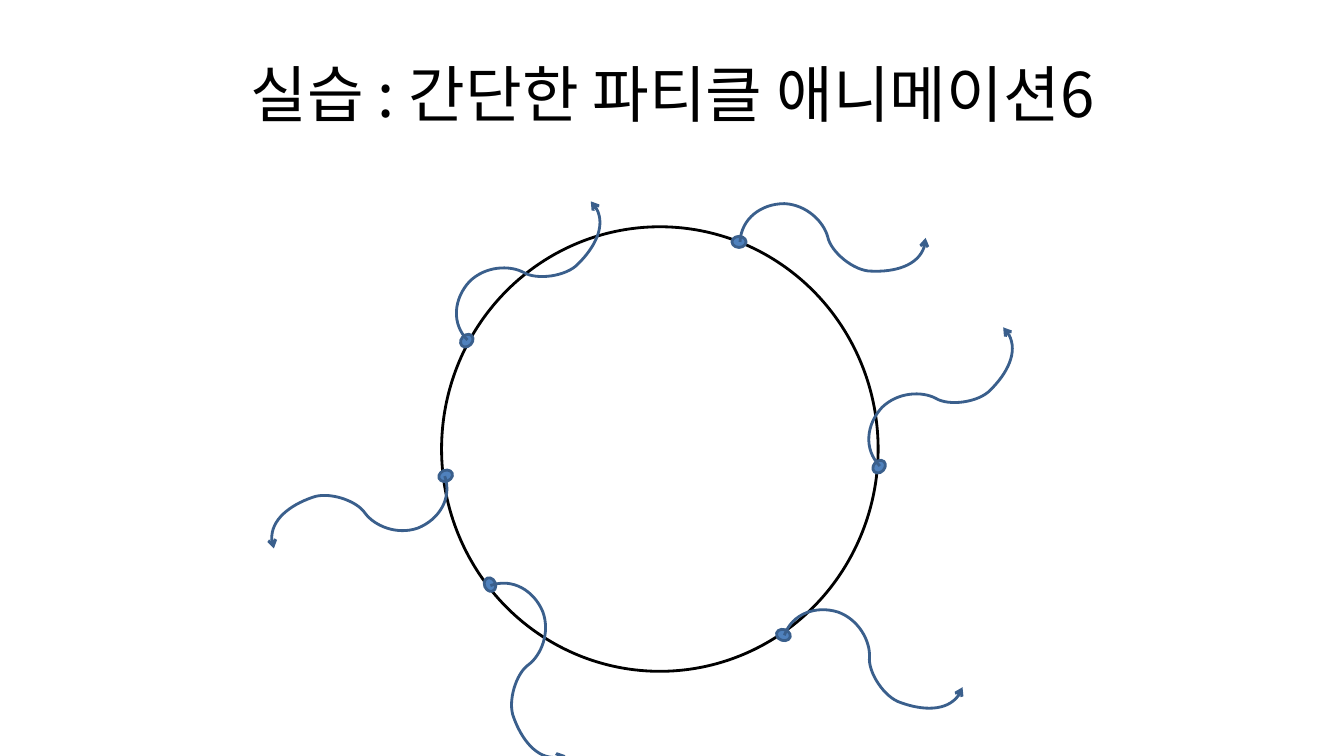
"""Build a slide of particles leaving a circle along wavy trails."""
import math

from lxml import etree
from pptx import Presentation
from pptx.dml.color import RGBColor
from pptx.enum.shapes import MSO_SHAPE
from pptx.enum.text import MSO_ANCHOR, PP_ALIGN
from pptx.oxml.ns import qn
from pptx.util import Pt

PX = 9144
OVAL = MSO_SHAPE.OVAL
CENTER, MIDDLE = PP_ALIGN.CENTER, MSO_ANCHOR.MIDDLE
FONT = "Noto Sans CJK KR"
COLORS = {"black": "000000", "white": "FFFFFF", "dot": "4F81BD", "trail": "3A5F8C"}

DOT_W, DOT_H = 14, 11
TRAIL = [(1, 0), (2, -23), (22, -38), (45, -38), (67, -37), (84, -20), (88, -5),
         (91, 10), (114, 29), (131, 29), (154, 30), (185, 22), (185, -4)]
PARTICLES = [(463, 338, 312.9), (442, 472, 158.3), (486, 580, 67.4),
             (777, 630, 17.5), (733, 240, 0), (872, 463, 312.9)]


def write_text(shape, text, *, size, color, align, anchor):
    tf = shape.text_frame
    tf.word_wrap = True
    tf.vertical_anchor = anchor
    p = tf.paragraphs[0]
    p.alignment = align
    r = p.add_run()
    r.text = text
    r.font.size = Pt(size)
    r.font.name = FONT
    r.font.color.rgb = RGBColor.from_string(COLORS[color])
    etree.SubElement(r.font._element, qn("a:ea"), typeface=FONT)


def style(shape, fill, line):
    shape.shadow.inherit = False
    if fill:
        shape.fill.solid()
        shape.fill.fore_color.rgb = RGBColor.from_string(COLORS[fill])
    else:
        shape.fill.background()
    shape.line.color.rgb = RGBColor.from_string(COLORS[line])
    shape.line.width = Pt(2)


prs = Presentation()
prs.slide_width, prs.slide_height = 1333 * PX, 750 * PX
s = prs.slides.add_slide(prs.slide_layouts[5])

title = s.shapes.title
title.left, title.top, title.width, title.height = 67 * PX, 30 * PX, 1200 * PX, 125 * PX
write_text(title, "실습 : 간단한 파티클 애니메이션6", size=44, color="black",
           align=CENTER, anchor=MIDDLE)

circle = s.shapes.add_shape(OVAL, 438 * PX, 225 * PX, 433 * PX, 441 * PX)
style(circle, "white", "black")

for x, y, angle in PARTICLES:
    particle = s.shapes.add_group_shape()
    dot = particle.shapes.add_shape(OVAL, round((x - DOT_W / 2) * PX), round((y - DOT_H / 2) * PX),
                                    DOT_W * PX, DOT_H * PX)
    style(dot, "dot", "trail")

    builder = particle.shapes.build_freeform(*TRAIL[0], scale=PX)
    builder.add_line_segments(TRAIL[1:], close=False)
    trail = builder.convert_to_shape(x * PX, y * PX)
    style(trail, None, "trail")
    etree.SubElement(trail.line._get_or_add_ln(), qn("a:tailEnd"), type="arrow")

    path = next(trail._element.iter(qn("a:path")))
    segments = path.findall(qn("a:lnTo"))
    for i in range(0, len(segments), 3):
        curve = etree.SubElement(path, qn("a:cubicBezTo"))
        for segment in segments[i:i + 3]:
            curve.append(segment[0])
            path.remove(segment)

    dx = particle.left + particle.width / 2 - x * PX
    dy = particle.top + particle.height / 2 - y * PX
    cos, sin = math.cos(math.radians(angle)), math.sin(math.radians(angle))
    particle.left = round(x * PX + dx * cos - dy * sin - particle.width / 2)
    particle.top = round(y * PX + dx * sin + dy * cos - particle.height / 2)
    particle.rotation = angle

prs.save("out.pptx")
